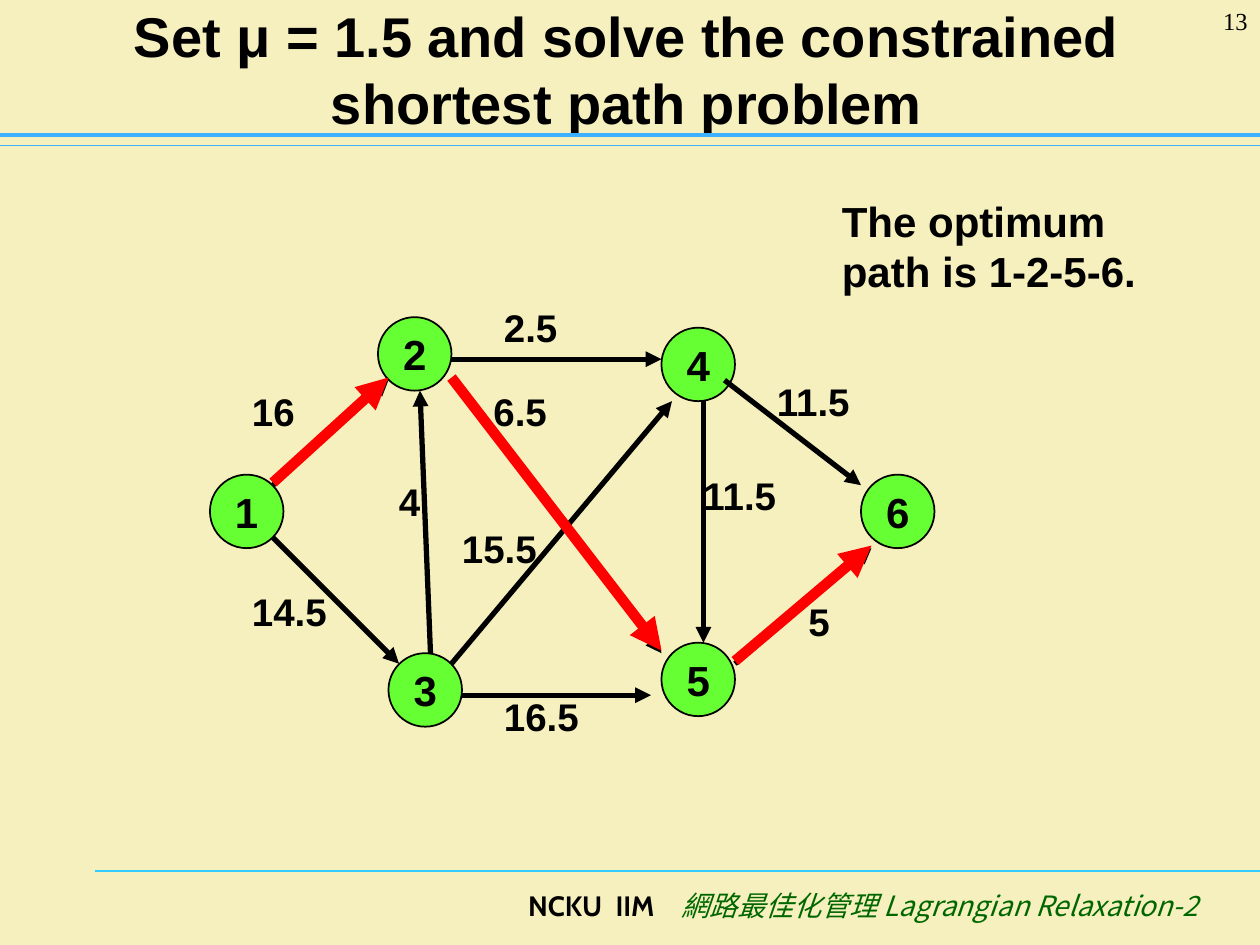
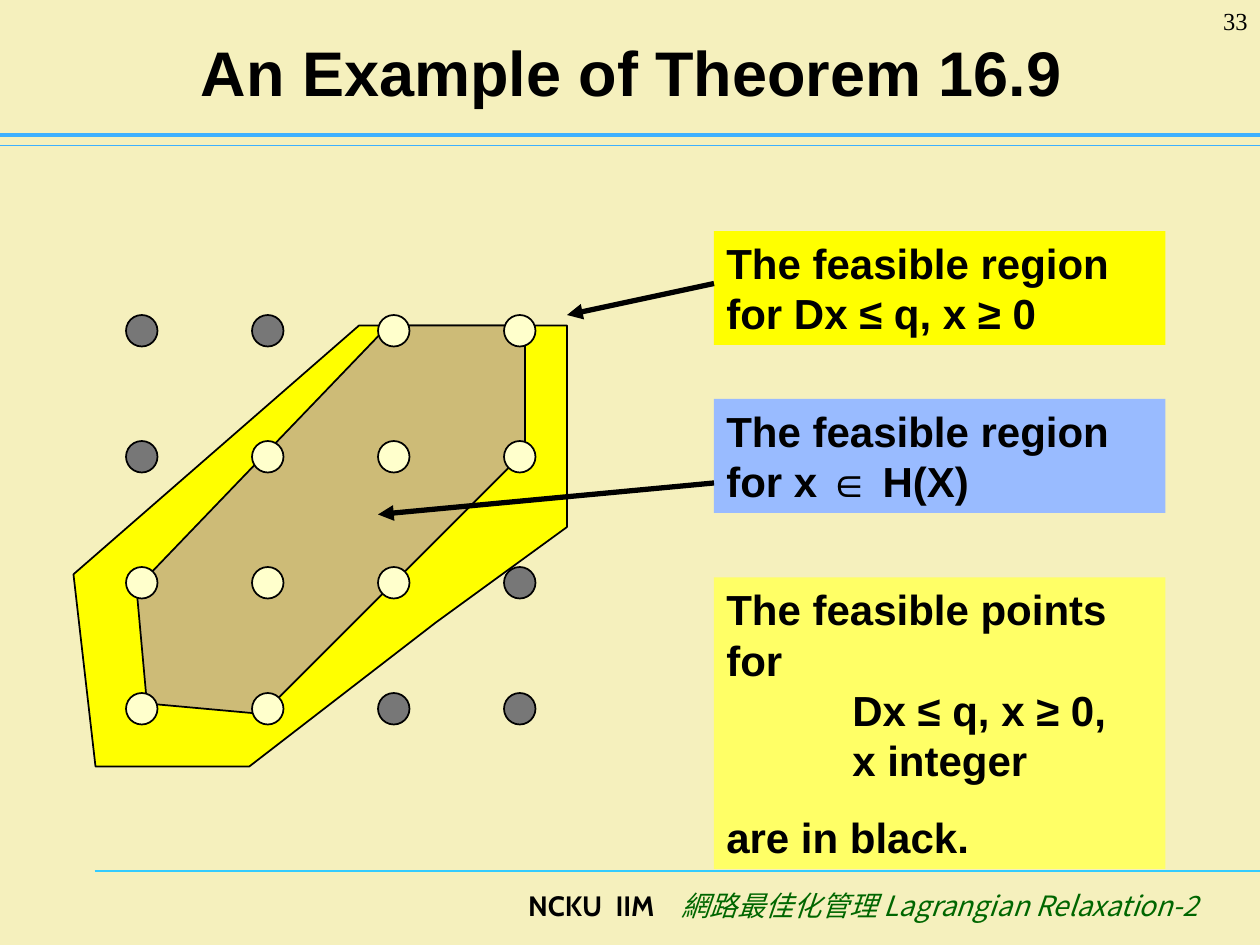
from itertools import product
from typing import NamedTuple

from lxml.etree import SubElement
from pptx import Presentation
from pptx.dml.color import RGBColor
from pptx.enum.shapes import MSO_CONNECTOR, MSO_SHAPE
from pptx.enum.text import MSO_ANCHOR, MSO_AUTO_SIZE, PP_ALIGN
from pptx.oxml.ns import qn
from pptx.util import Inches, Pt

WIDTH, HEIGHT = Inches(10), Inches(7.5)
COLS, ROWS = 120, 90
BLACK, RED, GREEN = "000000", "FF0000", "66FF33"
CREAM, SKY, AQUA, FOREST = "F5F0BD", "3DB0FF", "33CCFF", "006600"
YELLOW, LEMON, BLUE, TAN = "FFFF00", "FFFF66", "99BBFF", "CDBB77"
LIGHT, DARK = "FFFFCC", "777777"


class Box(NamedTuple):
    left: float
    top: float
    width: float
    height: float

    def inner(self, x, y, width, height):
        return Box(self.left + x, self.top + y, width, height)

    def point(self, x, y):
        return self.left + x, self.top + y

    def emu(self):
        return col(self.left), row(self.top), col(self.width), row(self.height)


def col(n):
    return round(WIDTH * n / COLS)


def row(n):
    return round(HEIGHT * n / ROWS)


def rgb(color):
    return RGBColor.from_string(color)


def add_run(p, text, size, font="Arial", color=BLACK, bold=True, italic=False):
    r = p.add_run()
    r.text = text
    r.font.name, r.font.size = font, Pt(size)
    r.font.bold, r.font.italic = bold, italic
    r.font.color.rgb = rgb(color)
    return r


def add_paragraph_box(s, box, align=PP_ALIGN.LEFT):
    tf = s.shapes.add_textbox(*box.emu()).text_frame
    tf.word_wrap = True
    p = tf.paragraphs[0]
    p.alignment = align
    return tf, p


def paint(sp, fill, line=None):
    sp.shadow.inherit = False
    sp.fill.solid()
    sp.fill.fore_color.rgb = rgb(fill)
    if line:
        sp.line.color.rgb = rgb(line)
        sp.line.width = Pt(1)
    else:
        sp.line.fill.background()
    return sp


def add_preset(s, kind, box, fill, line=None):
    return paint(s.shapes.add_shape(kind, *box.emu()), fill, line)


def add_line(s, start, end, color=BLACK, width=3, arrow=True):
    (x1, y1), (x2, y2) = start, end
    c = s.shapes.add_connector(MSO_CONNECTOR.STRAIGHT, col(x1), row(y1), col(x2), row(y2))
    c.line.color.rgb = rgb(color)
    c.line.width = Pt(width)
    if arrow:
        SubElement(c.line._get_or_add_ln(), qn("a:tailEnd"), type="triangle")
    SubElement(c._element.spPr, qn("a:effectLst"))


def add_polygon(s, box, points, fill):
    corners = [(col(x), row(y)) for x, y in (box.point(*pt) for pt in points)]
    fb = s.shapes.build_freeform(*corners[0])
    fb.add_line_segments(corners[1:], close=True)
    paint(fb.convert_to_shape(), fill, BLACK)


def add_footer(s, box):
    tf, p = add_paragraph_box(s, box, PP_ALIGN.RIGHT)
    for text, spacing in [("NCKU", 0), (" ", 400), ("IIM", 0), (" ", 1200)]:
        r = add_run(p, text, 16, "Cabin")
        r._r.get_or_add_rPr().set("spc", str(spacing))
    font = "Noto Sans CJK SC"
    r = add_run(p, "網路最佳化管理 Lagrangian Relaxation-2", 16, font, FOREST, False, True)
    SubElement(r._r.get_or_add_rPr(), qn("a:ea"), typeface=font)


def add_frame(s):
    add_line(s, (9, 82.97), (COLS, 82.97), AQUA, 0.75, arrow=False)
    for y, width in [(13.86, 0.75), (12.85, 2.5)]:
        add_line(s, (0, y), (COLS, y), SKY, width, arrow=False)
    add_footer(s, Box(22, 84, 93.3, 6))


def add_slide(prs, title, box, size, number):
    s = prs.slides.add_slide(prs.slide_layouts[5])
    add_frame(s)
    sp = s.shapes.title
    sp.left, sp.top, sp.width, sp.height = box.emu()
    tf = sp.text_frame
    tf.auto_size = MSO_AUTO_SIZE.NONE
    tf.word_wrap = True
    tf.vertical_anchor = MSO_ANCHOR.MIDDLE
    p = tf.paragraphs[0]
    p.alignment = PP_ALIGN.CENTER
    add_run(p, title, size)
    tf, p = add_paragraph_box(s, Box(110, 0, 10, 6), PP_ALIGN.RIGHT)
    add_run(p, number, 14, "Times New Roman", bold=False)
    return s


NODES = {1: (0, 15), 2: (16, 0), 3: (17, 32), 4: (43, 1), 5: (43, 31), 6: (62, 15)}
EDGES = {
    (1, 2): ((6, 16), (17, 6), "16", (4, 6.75)),
    (2, 4): ((23, 4), (43, 4), "2.5", (28, -1.25)),
    (2, 5): ((23, 6), (43, 32), "6.5", (27, 6.75)),
    (1, 3): ((6, 21), (18, 33), "14.5", (4, 25.75)),
    (3, 2): ((21, 32), (20, 7), "4", (18, 15.35)),
    (3, 4): ((23, 33), (44, 8), "15.5", (24, 19.75)),
    (3, 5): ((24, 36), (42, 36), "16.5", (28, 35.75)),
    (5, 6): ((50, 33), (63, 22), "5", (57, 26.75)),
    (4, 6): ((49, 6), (62, 16), "11.5", (54, 5.75)),
    (4, 5): ((47, 8), (47, 31), "11.5", (47, 14.75)),
}
OPTIMUM = [(1, 2), (2, 5), (5, 6)]


def add_cost(s, box, cost):
    tf, p = add_paragraph_box(s, box)
    tf.word_wrap = False
    tf.auto_size = MSO_AUTO_SIZE.SHAPE_TO_FIT_TEXT
    tf.margin_left = tf.margin_right = tf.margin_top = tf.margin_bottom = 0
    add_run(p, cost, 22)


def add_network(s, box):
    for start, end, cost, spot in EDGES.values():
        width = 2.05 * len(cost) - cost.count(".")
        add_cost(s, box.inner(*spot, width, 4.4), cost)
    for name, spot in NODES.items():
        sp = add_preset(s, MSO_SHAPE.OVAL, box.inner(*spot, 7, 7), GREEN, BLACK)
        tf = sp.text_frame
        tf.word_wrap = False
        tf.vertical_anchor = MSO_ANCHOR.MIDDLE
        p = tf.paragraphs[0]
        p.alignment = PP_ALIGN.CENTER
        add_run(p, str(name), 24)
    for start, end, *_ in EDGES.values():
        add_line(s, box.point(*start), box.point(*end))
    raised = box.inner(0, -0.25, box.width, box.height)
    for edge in OPTIMUM:
        start, end, *_ = EDGES[edge]
        add_line(s, raised.point(*start), raised.point(*end), RED, 6)


def network_slide(prs):
    s = add_slide(prs, "Set μ = 1.5 and solve the constrained shortest path problem",
                  Box(4.2, 0, 111, 13), 32, "13")
    add_network(s, Box(20, 30.21, 69, 39))
    tf, p = add_paragraph_box(s, Box(79, 18, 35, 10.8))
    add_run(p, "The optimum path is 1-2-5-6.", 24)


RELAXED = [(-5, 24.7), (22.2, 1), (42, 1), (42, 20.2), (29.5, 29.3), (11.75, 43), (-2.9, 43)]
HULL = [(2, 37), (1, 26), (25, 1), (38, 1), (38, 13), (13, 38)]
FEASIBLE = ["..XX", ".XXX", "XXX.", "XX.."]


def add_lattice(s, box):
    pitch = box.width / 3.25
    for j, i in product(range(4), repeat=2):
        fill = LIGHT if FEASIBLE[j][i] == "X" else DARK
        dot = box.inner(i * pitch, j * pitch, pitch / 4, pitch / 4)
        add_preset(s, MSO_SHAPE.OVAL, dot, fill, BLACK)


def add_callout(s, box, fill, paragraphs):
    tf = add_preset(s, MSO_SHAPE.RECTANGLE, box, fill).text_frame
    tf.word_wrap = True
    tf.vertical_anchor = MSO_ANCHOR.TOP
    for k, (text, indent, before) in enumerate(paragraphs):
        p = tf.add_paragraph() if k else tf.paragraphs[0]
        p.alignment = PP_ALIGN.LEFT
        p.space_before = Pt(before)
        p._p.get_or_add_pPr().set("marL", str(col(indent)))
        add_run(p, text, 24)


def theorem_slide(prs):
    s = add_slide(prs, "An Example of Theorem 16.9", Box(6.15, 1.55, 108, 10.4), 36, "33")
    lattice, notes = Box(12, 30, 39, 39), Box(68, 22, 43, 61)

    add_polygon(s, lattice, RELAXED, YELLOW)
    add_callout(s, notes.inner(0, 0, notes.width, 10.85), YELLOW,
                [("The feasible region for Dx ≤ q, x ≥ 0", 0, 0)])
    add_line(s, notes.point(0, 5), lattice.point(42, 0))

    add_polygon(s, lattice, HULL, TAN)
    add_callout(s, notes.inner(0, 16, notes.width, 10.85), BLUE,
                [("The feasible region for x ∈ H(X)", 0, 0)])
    add_line(s, notes.point(0, 24), lattice.point(24, 19))

    add_lattice(s, lattice)
    add_callout(s, notes.inner(0, 33, notes.width, 27.75), LEMON,
                [("The feasible points for", 0, 0), ("Dx ≤ q, x ≥ 0,", 12, 0),
                 ("x integer", 12, 0), ("are in black.", 0, 15)])


def main():
    prs = Presentation()
    prs.slide_width, prs.slide_height = WIDTH, HEIGHT
    fill = prs.slide_master.background.fill
    fill.solid()
    fill.fore_color.rgb = rgb(CREAM)
    network_slide(prs)
    theorem_slide(prs)
    prs.save("out.pptx")


if __name__ == "__main__":
    main()
